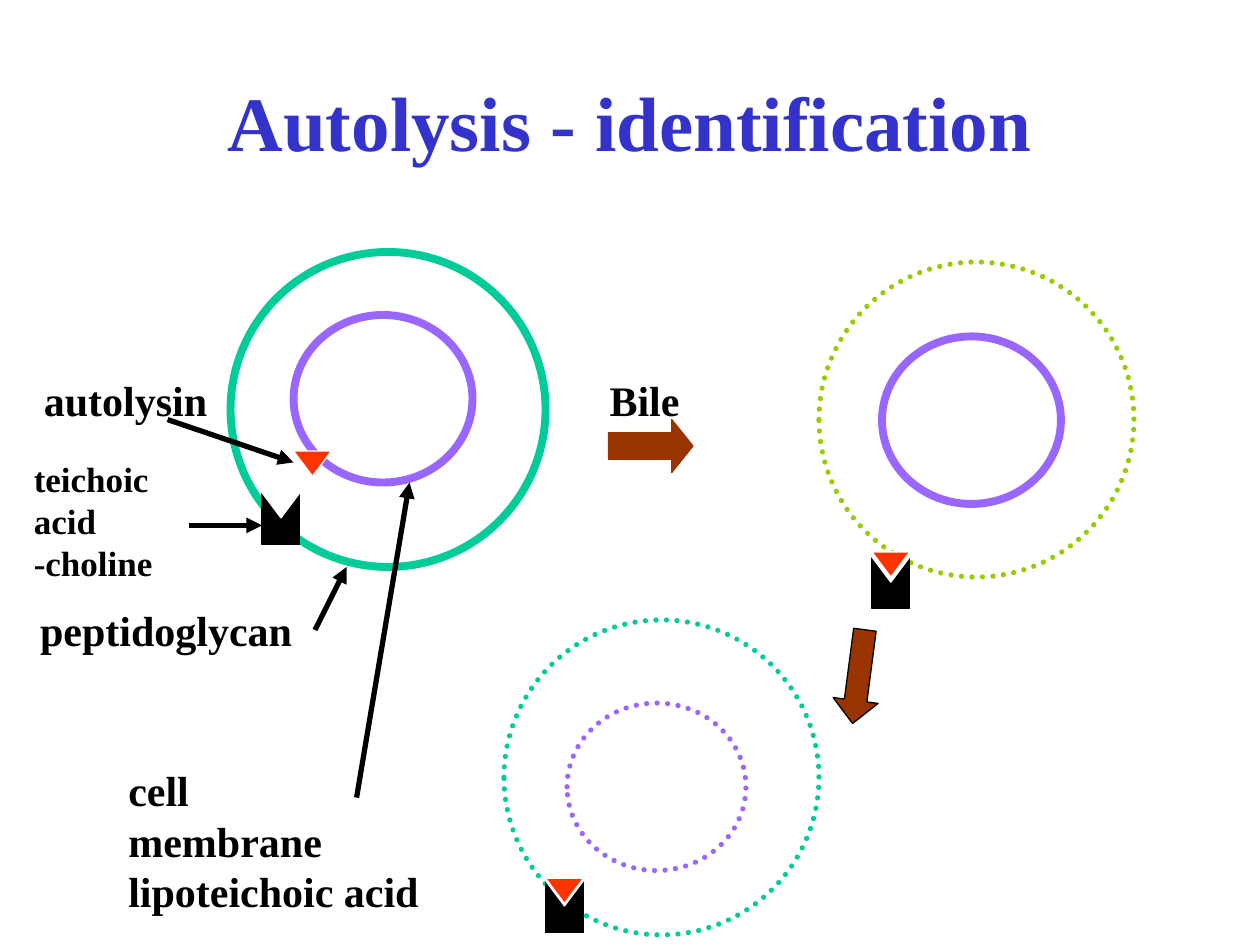
"""Build the slide on identification by autolysis."""
from lxml.etree import SubElement
from pptx import Presentation
from pptx.dml.color import RGBColor
from pptx.enum.dml import MSO_LINE
from pptx.enum.shapes import MSO_CONNECTOR, MSO_SHAPE
from pptx.enum.text import MSO_ANCHOR, PP_ALIGN
from pptx.oxml.ns import qn
from pptx.util import Inches, Pt

BLACK = RGBColor(0x00, 0x00, 0x00)
WHITE = RGBColor(0xFF, 0xFF, 0xFF)
BLUE = RGBColor(0x33, 0x33, 0xCC)
TEAL = RGBColor(0x00, 0xCC, 0x99)
LIME = RGBColor(0x99, 0xCC, 0x00)
PURPLE = RGBColor(0x99, 0x66, 0xFF)
BROWN = RGBColor(0x99, 0x33, 0x00)
RED = RGBColor(0xFF, 0x33, 0x00)

FONT = "Times New Roman"
WALL_SIZE = (2.5, 2.5)
MEMBRANE_SIZE = (1.42, 1.33)
RECEPTOR_SIZE = (0.3, 0.4)
WEDGE_SIZE = (0.3, 0.2)
NOTCH_RISE = 0.01

TITLE = "Autolysis - identification"
WALLS = [
    ((4, 4.92), TEAL, True),
    ((6.5, 2.08), LIME, True),
    ((1.83, 2), TEAL, False),
]
MEMBRANES = [
    ((2.33, 2.5), PURPLE, False),
    ((7, 2.67), PURPLE, False),
    ((4.5, 5.58), PURPLE, True),
]
RECEPTORS = [(2.08, 3.92), (6.92, 4.43), (4.33, 7)]
AUTOLYSINS = [(2.33, 3.58), (6.92, 4.38), (4.33, 6.97)]
STEPS = [
    ((4.83, 3.33), (0.67, 0.42), 0, 0.4, BROWN),
    ((6.44, 5.19), (0.75, 0.36), 97.5, 0.51, BLACK),
]
LABELS = [
    (["Bile"], (4.74, 2.92), (0.8, 0.5), 24),
    (["peptidoglycan"], (0.22, 4.75), (2.3, 0.5), 24),
    (["cell", "membrane", "lipoteichoic acid"], (0.92, 6.02), (2.65, 1.3), 24),
    (["teichoic acid", "-choline"], (0.17, 3.58), (1.6, 0.77), 20),
    (["autolysin"], (0.25, 2.92), (1.6, 0.5), 24),
]
POINTERS = [
    ((1.5, 4.17), (2.08, 4.17)),
    ((2.5, 5), (2.75, 4.5)),
    ((1.33, 3.33), (2.33, 3.67)),
    ((2.83, 6.33), (3.25, 3.83)),
]


def add_part(shapes, preset, place, size, fill, outline, width=0.75, dotted=False, rotation=0):
    part = shapes.add_shape(preset, *map(Inches, place + size))
    part.shadow.inherit = False
    part.fill.solid()
    part.fill.fore_color.rgb = fill
    part.line.color.rgb = outline
    part.line.width = Pt(width)
    if dotted:
        part.line.dash_style = MSO_LINE.ROUND_DOT
        part.line._get_or_add_ln().set("cap", "rnd")
    part.rotation = rotation
    return part


def add_rings(shapes, rings, size):
    for place, color, dotted in rings:
        add_part(shapes, MSO_SHAPE.OVAL, place, size, WHITE, color,
                 width=3 if dotted else 4.5, dotted=dotted)


def add_wedge(shapes, place, fill):
    add_part(shapes, MSO_SHAPE.ISOSCELES_TRIANGLE, place, WEDGE_SIZE, fill, WHITE, rotation=180)


def add_text(shapes, lines, place, size, points=24, color=BLACK,
             align=PP_ALIGN.LEFT, anchor=MSO_ANCHOR.TOP):
    frame = shapes.add_textbox(*map(Inches, place + size)).text_frame
    frame.word_wrap = True
    frame.vertical_anchor = anchor
    frame.text = "\n".join(lines)
    for paragraph in frame.paragraphs:
        paragraph.alignment = align
        font = paragraph.runs[0].font
        font.name = FONT
        font.size = Pt(points)
        font.bold = True
        font.color.rgb = color


def add_pointer(shapes, start, end):
    pointer = shapes.add_connector(MSO_CONNECTOR.STRAIGHT, *map(Inches, start + end))
    pointer.line.color.rgb = BLACK
    pointer.line.width = Pt(3)
    SubElement(pointer.line._get_or_add_ln(), qn("a:tailEnd"), type="triangle")
    SubElement(pointer._element.spPr, qn("a:effectLst"))


def main():
    deck = Presentation()
    deck.slide_width, deck.slide_height = Inches(10), Inches(7.5)
    shapes = deck.slides.add_slide(deck.slide_layouts[6]).shapes

    add_rings(shapes, WALLS, WALL_SIZE)
    add_text(shapes, [TITLE], (0.75, 0.33), (8.5, 1.25), points=44, color=BLUE,
             align=PP_ALIGN.CENTER, anchor=MSO_ANCHOR.MIDDLE)
    add_rings(shapes, MEMBRANES, MEMBRANE_SIZE)
    for place, size, rotation, head, outline in STEPS:
        step = add_part(shapes, MSO_SHAPE.RIGHT_ARROW, place, size, BROWN, outline,
                        rotation=rotation)
        step.adjustments[1] = head
    for left, top in RECEPTORS:
        receptor = shapes.add_group_shape().shapes
        add_part(receptor, MSO_SHAPE.RECTANGLE, (left, top), RECEPTOR_SIZE, BLACK, BLACK)
        add_wedge(receptor, (left, top - NOTCH_RISE), WHITE)
    for place in AUTOLYSINS:
        add_wedge(shapes, place, RED)
    for lines, place, size, points in LABELS:
        add_text(shapes, lines, place, size, points=points)
    for start, end in POINTERS:
        add_pointer(shapes, start, end)

    deck.save("out.pptx")


if __name__ == "__main__":
    main()
